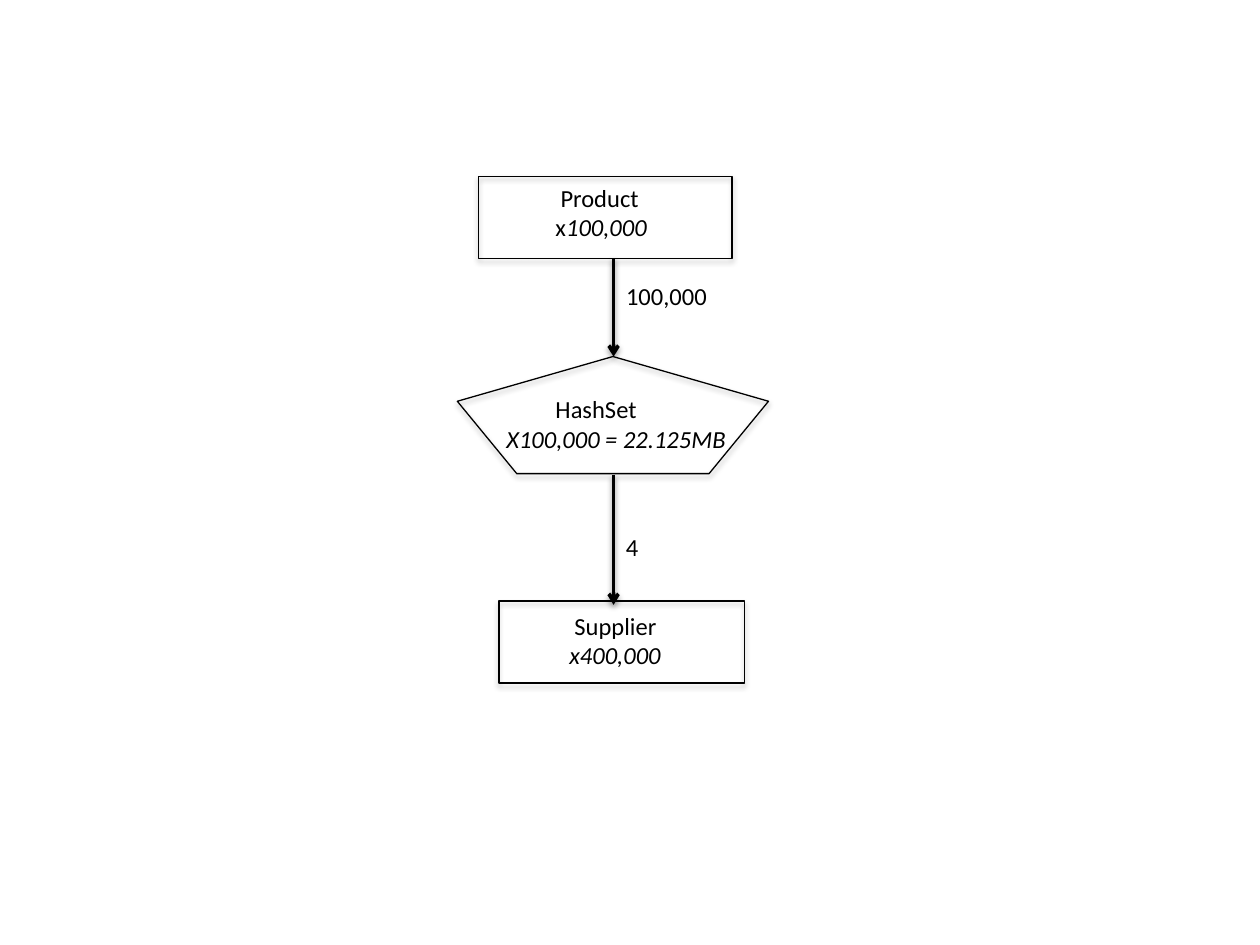
"""Builds the Product, HashSet and Supplier flow slide."""
import typing

import lxml.etree
import pptx
import pptx.dml.color
import pptx.enum.shapes
import pptx.oxml.ns
import pptx.util

Inches = pptx.util.Inches
Pt = pptx.util.Pt
MSO_SHAPE = pptx.enum.shapes.MSO_SHAPE
BLACK = "000000"
AXIS = 4.87


class Node(typing.NamedTuple):
    kind: MSO_SHAPE
    left: float
    top: float
    width: float
    height: float


class Arrow(typing.NamedTuple):
    start: float
    end: float


class Line(typing.NamedTuple):
    text: str
    indent: float = 0
    italic: bool = False
    prefix: str = ""


class Label(typing.NamedTuple):
    left: float
    top: float
    width: float
    height: float
    lines: list[Line]


NODES = [
    Node(MSO_SHAPE.REGULAR_PENTAGON, 3.63, 2.83, 2.47, 0.93),
    Node(MSO_SHAPE.RECTANGLE, 3.96, 4.77, 1.95, 0.65),
    Node(MSO_SHAPE.RECTANGLE, 3.8, 1.4, 2.01, 0.65),
]
ARROWS = [Arrow(2.05, 2.83), Arrow(3.77, 4.8)]
LABELS = [
    Label(4.07, 4.8, 1.61, 0.57, [Line("Supplier", 0.39), Line("x400,000", 0.35, True)]),
    Label(AXIS, 2.18, 0.85, 0.34, [Line("100,000")]),
    Label(AXIS, 4.17, 0.3, 0.34, [Line("4")]),
    Label(3.92, 3.08, 2.01, 0.57, [Line("HashSet", 0.39), Line("X100,000 = 22.125MB", 0, True)]),
    Label(3.96, 1.4, 1.32, 0.57, [Line("Product", 0.39), Line("100,000", 0.35, True, "x")]),
]


def color(value: str) -> pptx.dml.color.RGBColor:
    return pptx.dml.color.RGBColor.from_string(value)


def add_node(slide, node: Node) -> None:
    sp = slide.shapes.add_shape(node.kind, *map(Inches, node[1:]))
    sp.fill.background()
    sp.line.color.rgb = color(BLACK)
    sp.line.width = Pt(0.75)


def add_arrow(slide, arrow: Arrow) -> None:
    cxn = slide.shapes.add_connector(
        pptx.enum.shapes.MSO_CONNECTOR.STRAIGHT,
        Inches(AXIS), Inches(arrow.start), Inches(AXIS), Inches(arrow.end),
    )
    cxn.line.color.rgb = color(BLACK)
    cxn.line.width = Pt(2)
    ln = cxn.line._get_or_add_ln()
    lxml.etree.SubElement(ln, pptx.oxml.ns.qn("a:tailEnd"), type="arrow")


def add_label(slide, label: Label) -> None:
    tf = slide.shapes.add_textbox(*map(Inches, label[:4])).text_frame
    tf.word_wrap = True
    for i, line in enumerate(label.lines):
        p = tf.add_paragraph() if i else tf.paragraphs[0]
        p.font.name = "Calibri"
        p.font.size = Pt(14)
        p.font.color.rgb = color(BLACK)
        if line.indent:
            p._p.get_or_add_pPr().set("marL", str(Inches(line.indent)))
        if line.prefix:
            p.add_run().text = line.prefix
        r = p.add_run()
        r.text = line.text
        if line.prefix:
            r.font.italic = line.italic
        else:
            p.font.italic = line.italic


def main() -> None:
    prs = pptx.Presentation()
    prs.slide_width, prs.slide_height = Inches(10), Inches(7.5)
    slide = prs.slides.add_slide(prs.slide_layouts[6])
    for node in NODES:
        add_node(slide, node)
    for arrow in ARROWS:
        add_arrow(slide, arrow)
    for label in LABELS:
        add_label(slide, label)
    prs.save("out.pptx")


main()
